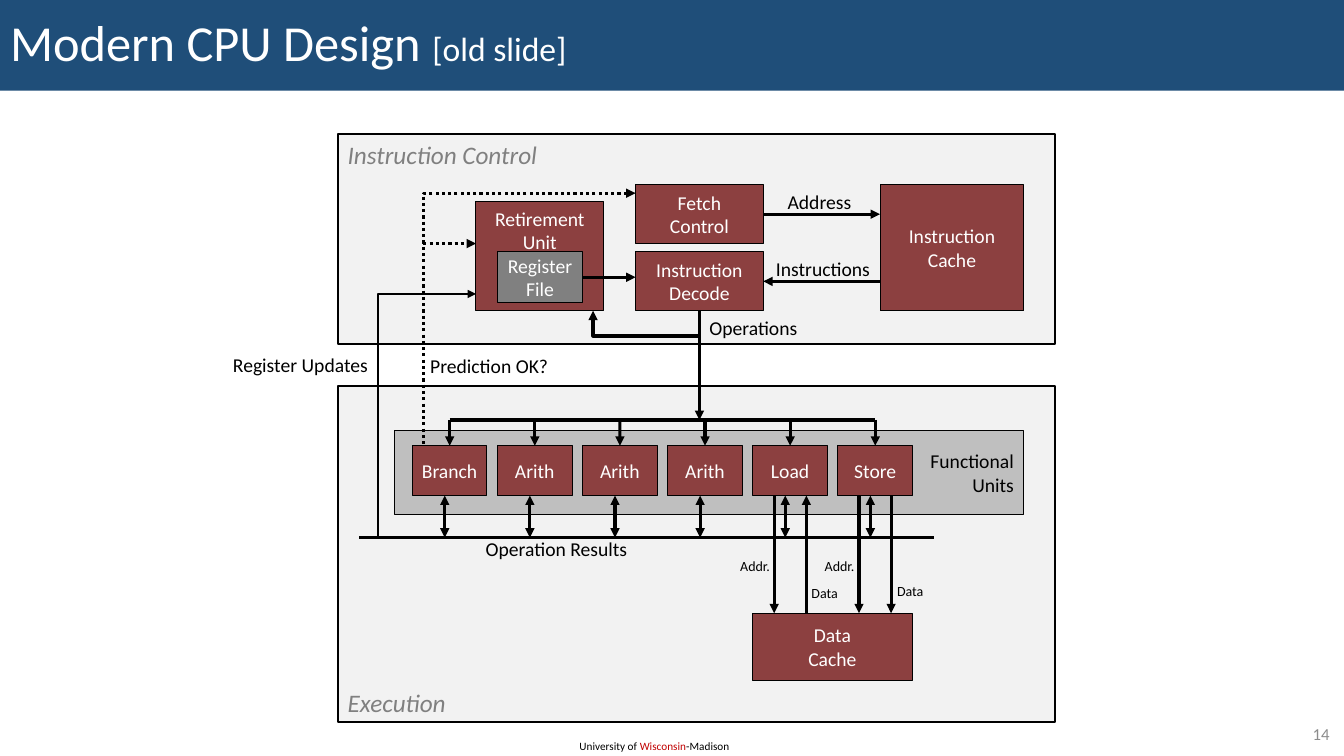
from dataclasses import dataclass
from pptx import Presentation, util as u
from pptx.dml.color import RGBColor
from pptx.enum import dml, shapes, text
from pptx.oxml.ns import qn
from lxml import etree

Pt = u.Pt
LEFT, CENTER, RIGHT = text.PP_ALIGN.LEFT, text.PP_ALIGN.CENTER, text.PP_ALIGN.RIGHT
TOP, MIDDLE, BOTTOM = (text.MSO_ANCHOR.TOP, text.MSO_ANCHOR.MIDDLE,
                       text.MSO_ANCHOR.BOTTOM)


@dataclass(frozen=True)
class Theme:
    font: str = "Calibri"
    banner: str = "1F4E79"
    panel: str = "F2F2F2"
    band: str = "BFBFBF"
    block: str = "8C4040"
    grey: str = "808080"
    number: str = "8C8C8C"
    accent: str = "C00000"
    black: str = "000000"
    white: str = "FFFFFF"
    title: int = 36
    subtitle: int = 24
    heading: int = 18
    body: int = 14
    page: int = 12
    small: int = 10
    footer: int = 8
    thick: float = 2.25
    medium: float = 1.5
    thin: float = 0.75


theme = Theme()

# Content: all places are (left, top, width, height) in points
TITLE = [("Modern CPU Design ", theme.title, theme.white),
         ("[old slide]", theme.subtitle, theme.white)]
FOOTER = [("University of ", theme.footer, theme.black),
          ("Wisconsin", theme.footer, theme.accent),
          ("-Madison", theme.footer, theme.black)]
PAGE_NUMBER = [("14", theme.page, theme.number)]
PANELS = [("Execution", (241.2, 276, 512.6, 240), BOTTOM),
          ("Instruction Control", (241.2, 96, 512.6, 150), TOP)]
BAND = (["Functional", "Units"], (282, 307.5, 449.4, 60))
BLOCKS = {
    "retirement": (["Retirement", "Unit"], (340, 144, 91.2, 78), TOP, theme.block),
    "register": (["Register", "File"], (355.5, 180, 60.6, 36), MIDDLE, theme.grey),
    "fetch": (["Fetch", "Control"], (454, 132, 91.2, 42), MIDDLE, theme.block),
    "decode": (["Instruction", "Decode"], (454, 180, 91.2, 42), MIDDLE, theme.block),
    "instructions": (["Instruction", "Cache"], (628.6, 132, 102.8, 90), MIDDLE,
                     theme.block),
    "data": (["Data", "Cache"], (537.6, 438, 114, 48), MIDDLE, theme.block),
}
UNITS = ["Branch", "Arith", "Arith", "Arith", "Load", "Store"]
LABELS = [
    ("Address", (554.4, 131.8, 61.9, 24.3), CENTER, theme.body),
    ("Instructions", (545.8, 180, 84.2, 24.3), CENTER, theme.body),
    ("Operations", (498.2, 222, 79.9, 24.3), CENTER, theme.body),
    ("Prediction OK?", (300.2, 249.1, 101.5, 24.3), LEFT, theme.body),
    ("Register Updates", (156.2, 248.4, 113.8, 24.3), RIGHT, theme.body),
    ("Operation Results", (339.8, 380.2, 119.5, 24.3), LEFT, theme.body),
    ("Addr.", (520.6, 394.6, 37.4, 19.4), CENTER, theme.small),
    ("Addr.", (581, 394.6, 37.4, 19.4), CENTER, theme.small),
    ("Data", (571.7, 414, 34.6, 19.4), CENTER, theme.small),
    ("Data", (632.9, 412.6, 34.6, 19.4), CENTER, theme.small),
]

# Shared lines of the diagram
UNIT_LEFT, UNIT_TOP, UNIT_PITCH, UNIT_W, UNIT_H = 294.5, 318.4, 60.8, 53.4, 35.6
UNIT_BOTTOM = UNIT_TOP + UNIT_H
OPERATION_BUS, RESULT_BUS = 300, 384
DATA_TOP = 438
PREDICTION_X, UPDATE_X = 302.4, 270

deck = Presentation()
deck.slide_width, deck.slide_height = Pt(960), Pt(540)
page = deck.slides.add_slide(deck.slide_layouts[5])


def color(code):
    return RGBColor.from_string(code)


def write(shape, lines, align=LEFT, anchor=TOP, wrap=False, italic=False):
    """Fill a shape with lines, each a list of (words, size, colour)."""
    frame = shape.text_frame
    frame.word_wrap = wrap
    frame.auto_size = text.MSO_AUTO_SIZE.NONE
    frame.vertical_anchor = anchor
    for i, spans in enumerate(lines):
        para = frame.add_paragraph() if i else frame.paragraphs[0]
        para.alignment = align
        for words, size, code in spans:
            span = para.add_run()
            span.text = words
            span.font.name, span.font.size = theme.font, Pt(size)
            span.font.color.rgb = color(code)
            if italic:
                span.font.italic = True
    return frame


def add_box(place, fill, width, lines, **style):
    box = page.shapes.add_shape(shapes.MSO_SHAPE.RECTANGLE, *map(Pt, place))
    box.shadow.inherit = False
    box.fill.solid()
    box.fill.fore_color.rgb = color(fill)
    box.line.color.rgb, box.line.width = color(theme.black), Pt(width)
    write(box, lines, **style)
    return box


def add_label(place, lines, **style):
    return write(page.shapes.add_textbox(*map(Pt, place)), lines, **style)


def style_line(line, width, head, tail, dotted):
    line.color.rgb, line.width = color(theme.black), Pt(width)
    if dotted:
        line.dash_style = dml.MSO_LINE.ROUND_DOT
    for end, shown in (("headEnd", head), ("tailEnd", tail)):
        if shown:
            etree.SubElement(line._get_or_add_ln(), qn("a:" + end), type="triangle")


def add_line(start, stop, head=False, tail=True, dotted=False, begin=None, end=None):
    line = page.shapes.add_connector(shapes.MSO_CONNECTOR.STRAIGHT,
                                     *map(Pt, (*start, *stop)))
    if begin:
        line.begin_connect(*begin)
    if end:
        line.end_connect(*end)
    style_line(line.line, theme.thick, head, tail, dotted)
    etree.SubElement(line._element.spPr, qn("a:effectLst"))


def add_bend(points, width, head=False, tail=False, dotted=False):
    start, *rest = [(Pt(x), Pt(y)) for x, y in points]
    builder = page.shapes.build_freeform(*start)
    builder.add_line_segments(rest, close=False)
    bend = builder.convert_to_shape()
    bend.shadow.inherit = False
    bend.fill.background()
    style_line(bend.line, width, head, tail, dotted)


def body_lines(lines, code):
    return [[(words, theme.body, code)] for words in lines]


# Title, footer and page number
title = page.shapes.title
title.left, title.top, title.width, title.height = map(Pt, (0, 0, 960, 64.8))
title.fill.solid()
title.fill.fore_color.rgb = color(theme.banner)
write(title, [TITLE], anchor=MIDDLE, wrap=True).paragraphs[0].line_spacing = 0.9
add_label((406.8, 524.2, 123.8, 17.3), [FOOTER])
add_label((902.2, 513.4, 54.7, 20.9), [PAGE_NUMBER], align=RIGHT, anchor=MIDDLE,
          wrap=True)

# Panels and the band of functional units
for name, place, anchor in PANELS:
    add_box(place, theme.panel, theme.medium, [[(name, theme.heading, theme.grey)]],
            anchor=anchor, italic=True)
add_box(BAND[1], theme.band, theme.thin, body_lines(BAND[0], theme.black),
        align=RIGHT, anchor=MIDDLE)

# Blocks and units
blocks = {key: add_box(place, fill, theme.thin, body_lines(lines, theme.white),
                       align=CENTER, anchor=anchor)
          for key, (lines, place, anchor, fill) in BLOCKS.items()}
units = [add_box((UNIT_LEFT + i * UNIT_PITCH, UNIT_TOP, UNIT_W, UNIT_H), theme.block,
                 theme.thin, body_lines([name], theme.white),
                 align=CENTER, anchor=MIDDLE)
         for i, name in enumerate(UNITS)]

# Buses, with one arrow in and one two-way arrow out for each unit
centers = [UNIT_LEFT + UNIT_W / 2 + i * UNIT_PITCH for i in range(len(UNITS))]
add_line((centers[0], OPERATION_BUS), (centers[-1], OPERATION_BUS), tail=False)
add_line((256.6, RESULT_BUS), (667.2, RESULT_BUS), tail=False)
for x, unit in zip(centers, units):
    add_line((x, OPERATION_BUS), (x, UNIT_TOP), end=(unit, 0))
    add_line((x - 3.5, UNIT_BOTTOM), (x - 3.5, RESULT_BUS), head=True)

# Arrows between blocks
add_line((545.2, 153), (628.6, 153), begin=(blocks["fetch"], 3))
add_line((628.6, 201), (545.2, 201), end=(blocks["decode"], 3))
add_line((499.6, 222), (499.6, OPERATION_BUS), begin=(blocks["decode"], 2))
add_line((416.1, 198), (454, 198), begin=(blocks["register"], 3))
add_line((PREDICTION_X, 174), (340, 174), dotted=True)
for x in (553, 613.6, 636.5):
    add_line((x, UNIT_BOTTOM), (x, DATA_TOP))
add_line((576, DATA_TOP), (576, UNIT_BOTTOM))

# Bent arrows
add_bend([(454, 138), (PREDICTION_X, 138), (PREDICTION_X, UNIT_TOP)], theme.thick,
         head=True, dotted=True)
add_bend([(340, 210), (UPDATE_X, 210), (UPDATE_X, RESULT_BUS)], theme.medium,
         head=True)
add_bend([(499.6, 240), (423.6, 240), (423.6, 222)], theme.thick, tail=True)

# Labels
for words, place, align, size in LABELS:
    add_label(place, [[(words, size, theme.black)]], align=align)

deck.save("out.pptx")
